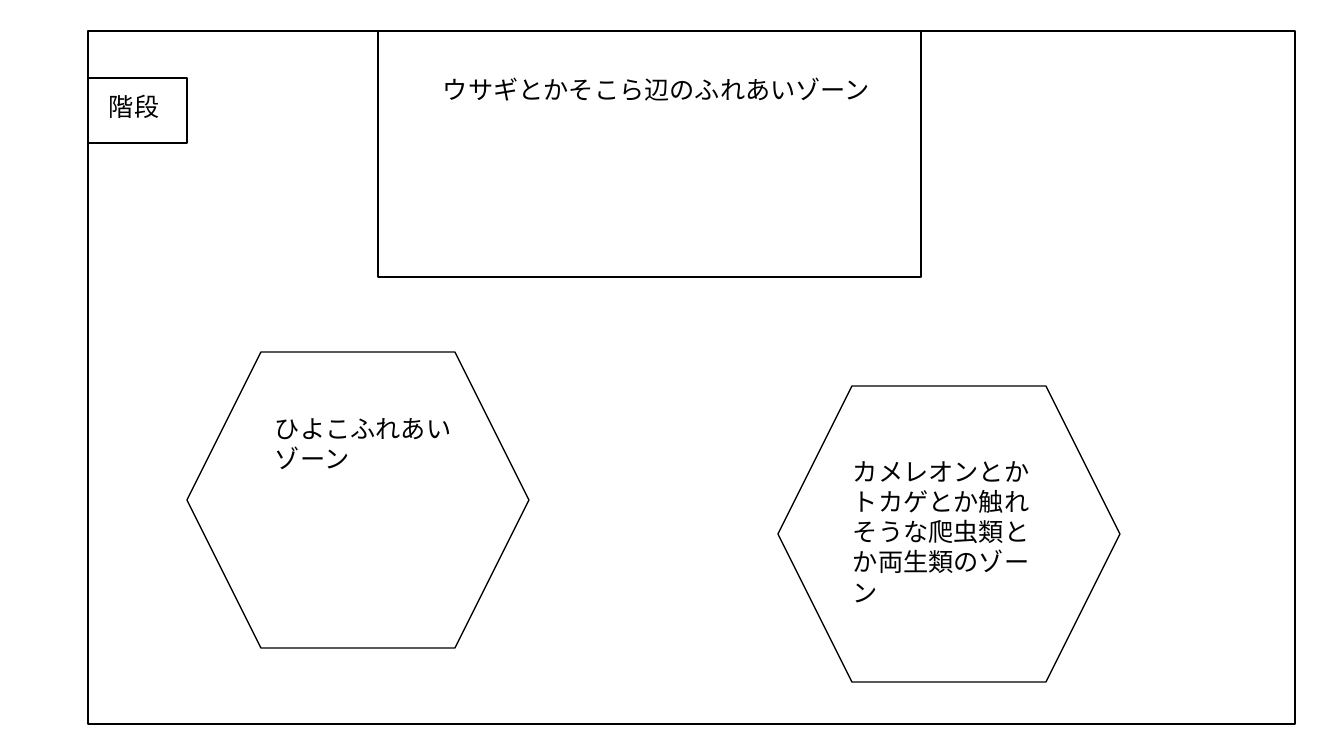
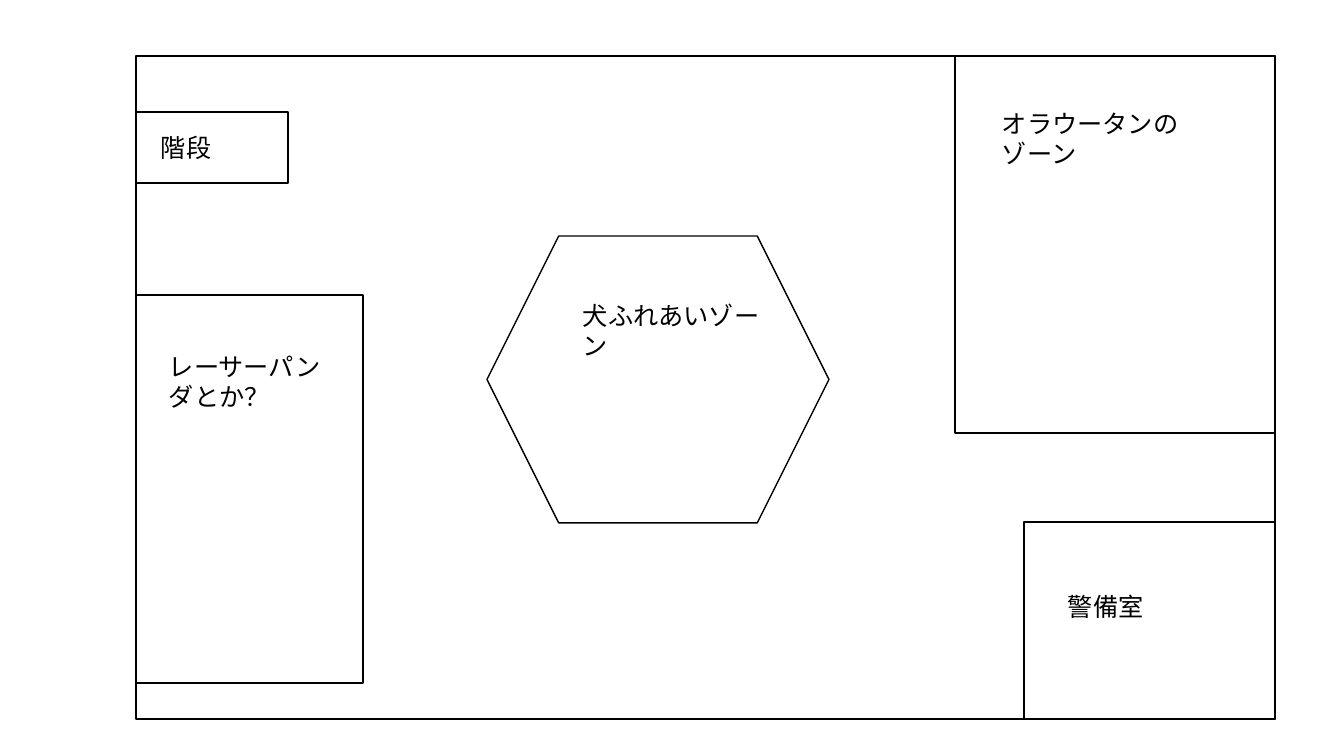
from lxml import etree
from pptx import Presentation
from pptx.dml.color import RGBColor
from pptx.enum.shapes import MSO_SHAPE
from pptx.enum.text import MSO_AUTO_SIZE
from pptx.oxml.ns import qn
from pptx.util import Pt

RECT, HEXAGON = MSO_SHAPE.RECTANGLE, MSO_SHAPE.HEXAGON
GROW = MSO_AUTO_SIZE.SHAPE_TO_FIT_TEXT
FONT, SIZE = "Noto Sans CJK JP", 18
INK, PAPER = "000000", "FFFFFF"
EMU_PER_PX = 914400 / 100.8
SLIDE_W, SLIDE_H = 1344, 756

FLOORS = [
    {
        "room": (88, 31, 1207, 693),
        "zones": [
            (RECT, (378, 31, 543, 246), "ウサギとかそこら辺のふれあいゾーン", (433, 69, 452, 40)),
            (RECT, (88, 78, 99, 65), "階段", (99, 86, 73, 40)),
            (HEXAGON, (187, 352, 342, 296), "ひよこふれあいゾーン", (265, 408, 207, 71)),
            (HEXAGON, (778, 386, 342, 296),
             "カメレオンとかトカゲとか触れそうな爬虫類とか両生類のゾーン", (843, 451, 215, 163)),
        ],
    },
    {
        "room": (136, 56, 1139, 663),
        "zones": [
            (RECT, (136, 112, 152, 71), "階段", (151, 127, 106, 40)),
            (RECT, (955, 56, 320, 377), "オラウータンのゾーン", (992, 103, 199, 71)),
            (RECT, (1024, 522, 251, 197), "警備室", (1058, 586, 192, 40)),
            (RECT, (136, 295, 227, 388), "レーサーパンダとか？", (159, 346, 177, 71)),
            (HEXAGON, (487, 236, 342, 287), "犬ふれあいゾーン", (573, 295, 195, 71)),
        ],
    },
]


def px(n):
    return round(n * EMU_PER_PX)


def color(value):
    return RGBColor.from_string(value)


def add_outline(s, kind, box):
    sp = s.shapes.add_shape(kind, *map(px, box))
    sp.shadow.inherit = False
    sp.fill.solid()
    sp.fill.fore_color.rgb = color(PAPER)
    sp.line.color.rgb = color(INK)
    sp.line.width = Pt(1)


def add_label(s, text, box):
    tf = s.shapes.add_textbox(*map(px, box)).text_frame
    tf.word_wrap = True
    tf.auto_size = GROW
    p = tf.paragraphs[0]
    p.text = text
    p.font.size = Pt(SIZE)
    p.font.color.rgb = color(INK)
    p.font.name = FONT
    font_props = p._p.pPr.find(qn("a:defRPr"))
    etree.SubElement(font_props, qn("a:ea"), typeface=FONT)


prs = Presentation()
prs.slide_width, prs.slide_height = px(SLIDE_W), px(SLIDE_H)
for floor in FLOORS:
    s = prs.slides.add_slide(prs.slide_layouts[6])
    add_outline(s, RECT, floor["room"])
    for kind, box, text, label_box in floor["zones"]:
        add_outline(s, kind, box)
        add_label(s, text, label_box)
prs.save("out.pptx")
